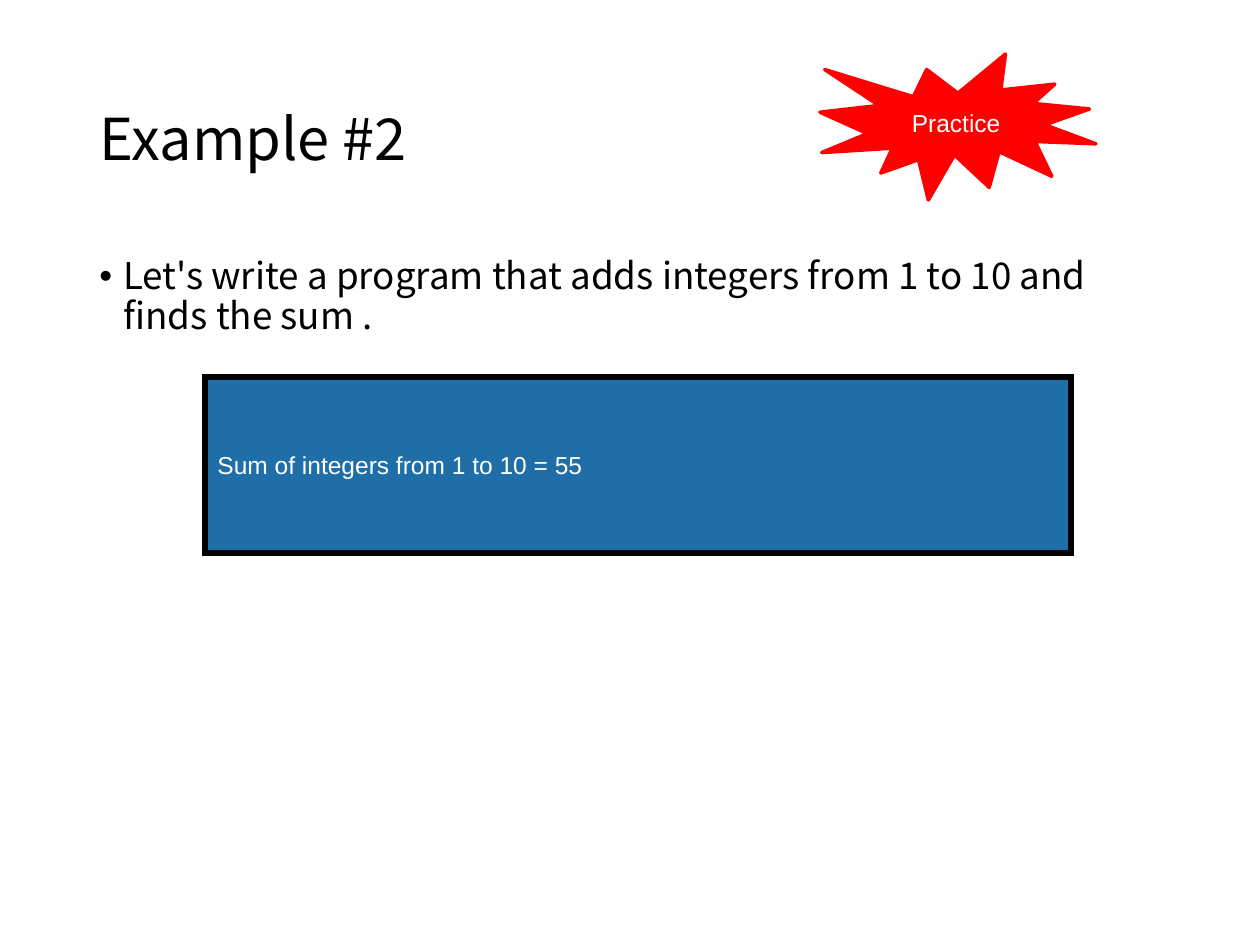
from lxml import etree
from pptx import Presentation
from pptx.dml.color import RGBColor
from pptx.enum.shapes import MSO_SHAPE
from pptx.enum.text import MSO_ANCHOR, PP_ALIGN
from pptx.oxml.ns import qn
from pptx.util import Emu, Pt

RECT, BURST = MSO_SHAPE.RECTANGLE, MSO_SHAPE.EXPLOSION1
TOP, MIDDLE = MSO_ANCHOR.TOP, MSO_ANCHOR.MIDDLE
LEFT, CENTER, JUSTIFY = PP_ALIGN.LEFT, PP_ALIGN.CENTER, PP_ALIGN.JUSTIFY
SCALE = 914400 / 126
SANS, ARIAL = "Noto Sans CJK KR", "Arial"
COLORS = {"black": "000000", "white": "FFFFFF", "blue": "1F6EA7", "red": "FF0000"}


def px(size):
    return Emu(round(size * SCALE))


def rgb(name):
    return RGBColor.from_string(COLORS[name])


def write(shape, text, font, color, anchor, **form):
    frame = shape.text_frame
    frame.word_wrap = True
    frame.vertical_anchor = anchor
    para = frame.paragraphs[0]
    para.text = text
    for key, value in form.items():
        setattr(para, key, value)
    run = para.runs[0].font
    for key, value in font.items():
        setattr(run, key, value)
    run.color.rgb = rgb(color)
    return para


def add_text(slide, box, text, size, anchor):
    shape = slide.shapes.add_textbox(*map(px, box))
    font = {"name": SANS, "size": Pt(size)}
    return write(shape, text, font, "black", anchor, alignment=LEFT, line_spacing=0.9)


def add_bullet(para, indent):
    props = para._p.get_or_add_pPr()
    props.set("marL", str(px(indent)))
    props.set("indent", str(-px(indent)))
    etree.SubElement(props, qn("a:buFont")).set("typeface", ARIAL)
    etree.SubElement(props, qn("a:buChar")).set("char", "•")


def add_label(slide, kind, box, text, fill, line, width, join, align):
    shape = slide.shapes.add_shape(kind, *map(px, box))
    shape.shadow.inherit = False
    shape.fill.solid()
    shape.fill.fore_color.rgb = rgb(fill)
    shape.line.color.rgb = rgb(line)
    shape.line.width = Pt(width)
    etree.SubElement(shape.element.spPr.find(qn("a:ln")), qn(join))
    font = {"name": ARIAL, "size": Pt(14)}
    write(shape, text, font, "white", MIDDLE, alignment=align)


def main():
    deck = Presentation()
    deck.slide_width, deck.slide_height = px(1260), px(945)
    slide = deck.slides.add_slide(deck.slide_layouts[6])

    add_text(slide, (87, 50, 1086, 183), "Example #2", 33, MIDDLE)
    task = "Let's write a program that adds integers from 1 to 10 and finds the sum ."
    add_bullet(add_text(slide, (87, 252, 1086, 600), task, 21, TOP), 24)

    add_label(slide, RECT, (205, 377, 866, 176), "Sum of integers from 1 to 10 = 55",
              "blue", "black", 3, "a:miter", JUSTIFY)
    add_label(slide, BURST, (820, 54, 276, 146), "Practice",
              "red", "red", 2, "a:round", CENTER)
    deck.save("out.pptx")


if __name__ == "__main__":
    main()
